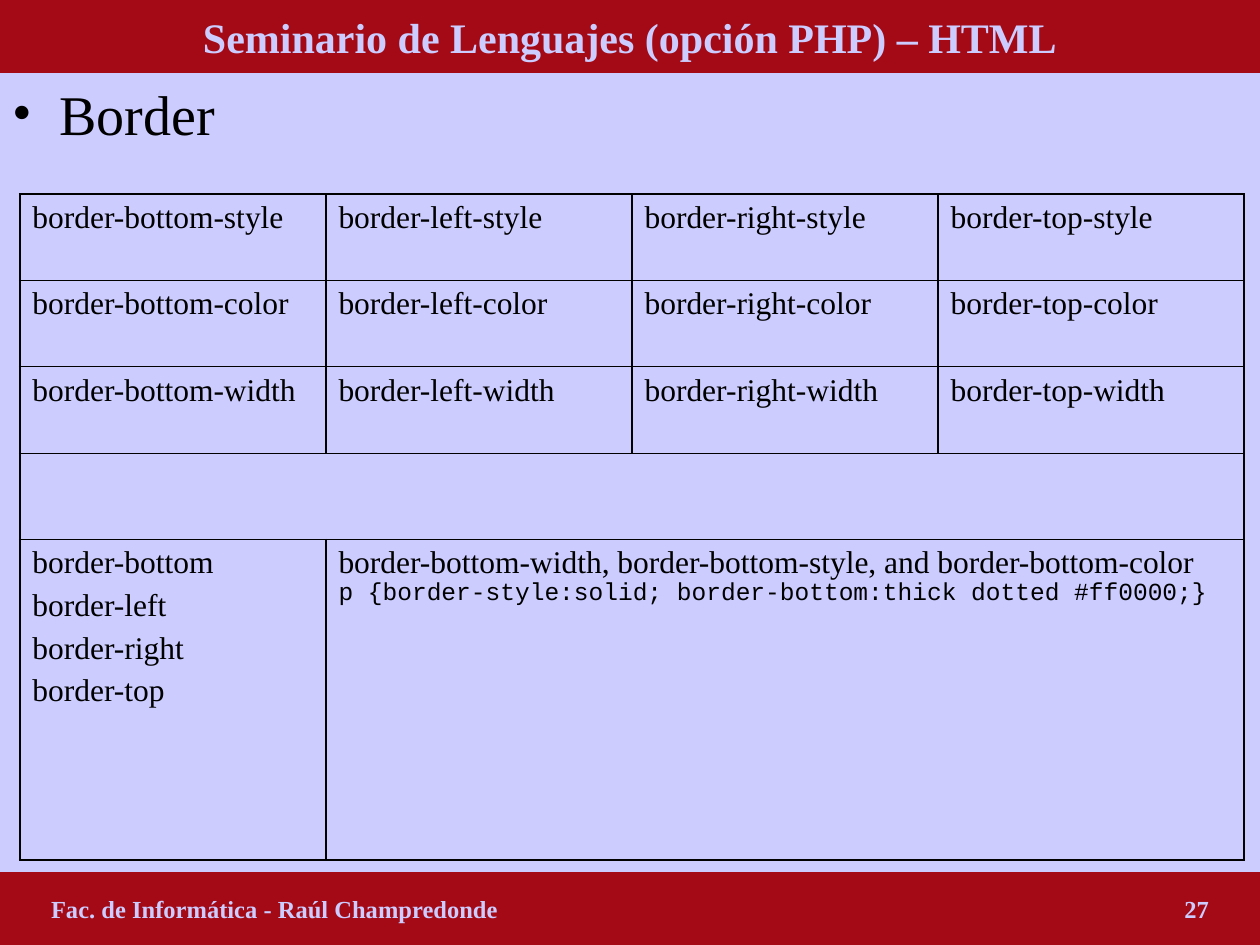
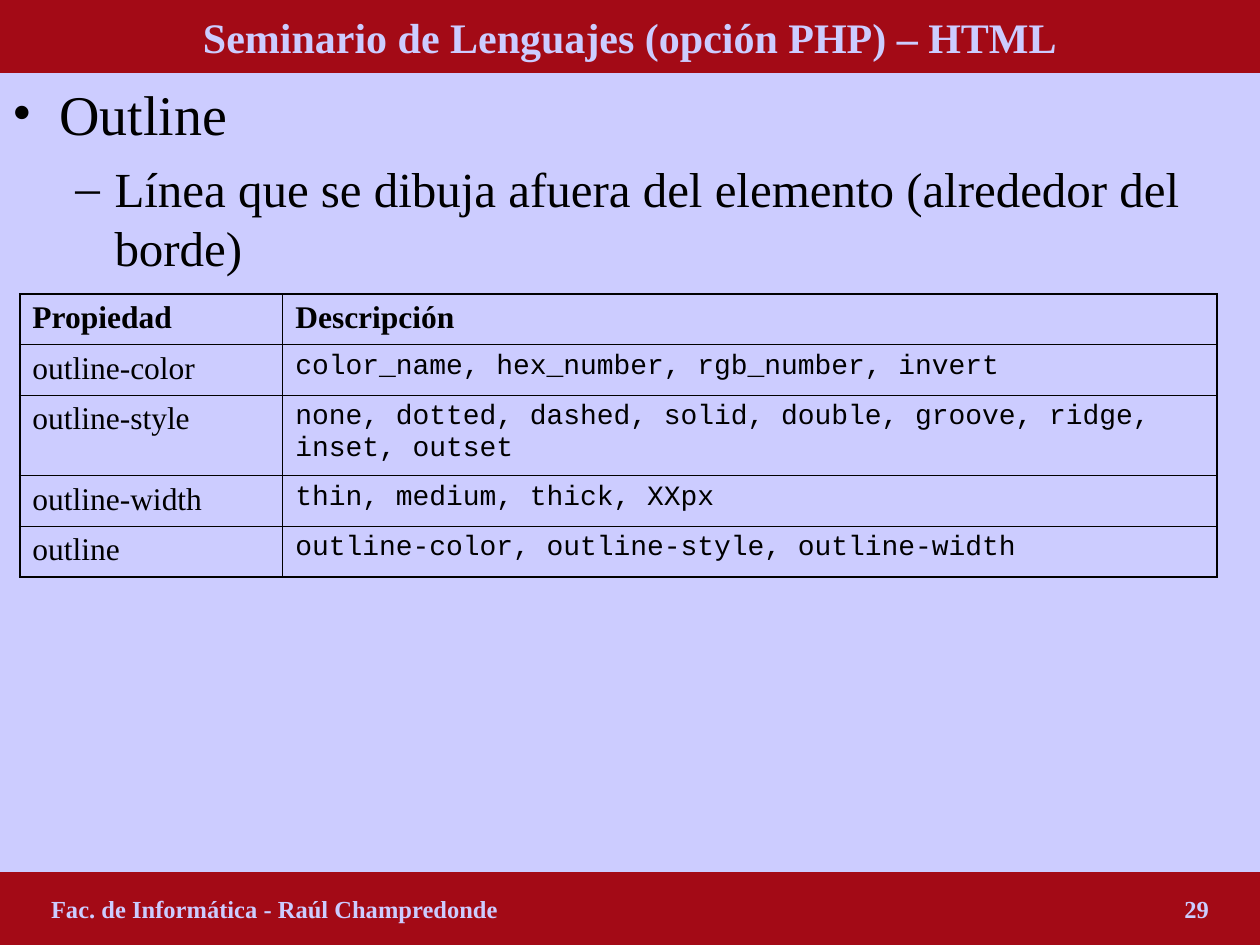
from dataclasses import dataclass
from lxml import etree
from pptx import Presentation
from pptx.dml.color import RGBColor
from pptx.enum import shapes, text
from pptx.oxml.ns import qn
from pptx.util import Cm, Pt


@dataclass(frozen=True)
class Theme:
    """Colours, fonts and sizes that every slide shares."""
    ground: str = "CCCCFF"
    band: str = "A30A16"
    ink: str = "000000"
    serif: str = "Times New Roman"
    mono: str = "Courier New"
    thick: float = 1.08
    thin: float = 0.45

    def font(self, role):
        size, name, bold, colour = {
            "title": (24, self.serif, True, self.ground),
            "footer": (14, self.serif, True, self.ground),
            "topic": (32, self.serif, False, self.ink),
            "detail": (28, self.serif, False, self.ink),
            "heading": (18, self.serif, True, self.ink),
            "property": (18, self.serif, False, self.ink),
            "values": (16, self.mono, False, self.ink),
            "example": (14, self.mono, False, self.ink),
        }[role]
        return {"size": Pt(size), "name": name, "bold": bold}, colour


THEME = Theme()
WIDTH, HEIGHT, BAND_HEIGHT = 25.4, 19.05, 1.47
TITLE = "Seminario de Lenguajes (opción PHP) – HTML"
AUTHOR = "Fac. de Informática - Raúl Champredonde"

# Bullet levels: character, left margin, hanging indent, space before
BULLETS = {"topic": ("•", 0.95, 0.95, 8), "detail": ("–", 2.06, 0.79, 7)}


def set_attributes(target, **values):
    for name, value in values.items():
        setattr(target, name, value)


def place(shape, box):
    left, top, width, height = map(Cm, box)
    set_attributes(shape, left=left, top=top, width=width, height=height)


def add_run(paragraph, words, role):
    run = paragraph.add_run()
    run.text = words
    values, colour = THEME.font(role)
    set_attributes(run.font, **values)
    run.font.color.rgb = RGBColor.from_string(colour)


def next_paragraph(frame, index, space_before):
    """Return the paragraph at index; only later ones have space before."""
    paragraph = frame.add_paragraph() if index else frame.paragraphs[0]
    paragraph.space_before = Pt(space_before if index else 0)
    return paragraph


# Bands
def format_band(shape, box):
    place(shape, box)
    shape.fill.solid()
    shape.fill.fore_color.rgb = RGBColor.from_string(THEME.band)
    shape.line.fill.background()
    set_attributes(shape.text_frame, word_wrap=True,
                   auto_size=text.MSO_AUTO_SIZE.NONE,
                   vertical_anchor=text.MSO_ANCHOR.MIDDLE)
    return shape.text_frame


def fill_title(slide, box):
    paragraph = format_band(slide.shapes.title, box).paragraphs[0]
    paragraph.alignment = text.PP_ALIGN.CENTER
    add_run(paragraph, TITLE, "title")


def add_footer(slide, box, number):
    shape = slide.shapes.add_shape(shapes.MSO_SHAPE.RECTANGLE, *map(Cm, box))
    shape.shadow.inherit = False
    frame = format_band(shape, box)
    margin = 1.03
    frame.margin_left = Cm(margin)
    paragraph = frame.paragraphs[0]
    paragraph.alignment = text.PP_ALIGN.LEFT
    # The page number ends at a right tab, as far in as the author's name
    tabs = etree.SubElement(paragraph._p.get_or_add_pPr(), qn("a:tabLst"))
    etree.SubElement(tabs, qn("a:tab"), algn="r",
                     pos=str(Cm(box[2] - 2 * margin)))
    add_run(paragraph, f"{AUTHOR}\t{number}", "footer")


# Bulleted text
def add_bullets(slide, box, items):
    frame = slide.shapes.add_textbox(*map(Cm, box)).text_frame
    frame.word_wrap = True
    for index, (role, words) in enumerate(items):
        character, margin, hanging, space = BULLETS[role]
        paragraph = next_paragraph(frame, index, space)
        properties = paragraph._p.get_or_add_pPr()
        properties.set("marL", str(Cm(margin)))
        properties.set("indent", str(-Cm(hanging)))
        colour = etree.SubElement(properties, qn("a:buClr"))
        etree.SubElement(colour, qn("a:srgbClr"), val=THEME.ink)
        etree.SubElement(properties, qn("a:buFont"), typeface=THEME.serif)
        etree.SubElement(properties, qn("a:buChar"), char=character)
        add_run(paragraph, words, role)


# Tables
def set_borders(cell, widths):
    """Draw the left, right, top and bottom borders, in that order."""
    properties = cell._tc.get_or_add_tcPr()
    for side, width in zip("LRTB", widths):
        line = etree.SubElement(properties, qn(f"a:ln{side}"), w=str(Pt(width)))
        fill = etree.SubElement(line, qn("a:solidFill"))
        etree.SubElement(fill, qn("a:srgbClr"), val=THEME.ink)


def fill_cell(cell, paragraphs):
    """Each paragraph is a list of lines, given as (words, role)."""
    for index, lines in enumerate(paragraphs):
        paragraph = next_paragraph(cell.text_frame, index, 4.5)
        for position, (words, role) in enumerate(lines):
            if position:
                paragraph.add_line_break()
            add_run(paragraph, words, role)


def add_grid(slide, origin, columns, heights, rows, column_line):
    """Add a table; a short row's last cell spans the columns left over."""
    table = slide.shapes.add_table(
        len(heights), len(columns), *map(Cm, origin),
        Cm(sum(columns)), Cm(sum(heights))).table
    set_attributes(table, first_row=False, horz_banding=False)
    for column, width in zip(table.columns, columns):
        column.width = Cm(width)
    for row, height in zip(table.rows, heights):
        row.height = Cm(height)
    last_row, last_column = len(heights) - 1, len(columns) - 1
    for r, row in enumerate(rows):
        for c, paragraphs in enumerate(row):
            cell, end = table.cell(r, c), c
            if c == len(row) - 1 and c < last_column:
                end = last_column
                cell.merge(table.cell(r, end))
            set_borders(cell, (
                column_line if c else THEME.thick,
                column_line if end < last_column else THEME.thick,
                THEME.thin if r else THEME.thick,
                THEME.thin if r < last_row else THEME.thick))
            cell.fill.background()
            fill_cell(cell, paragraphs)


def one_line(words, role="property"):
    return [[(words, role)]]


# Slides
def add_topic_slide(presentation, number, bullets):
    slide = presentation.slides.add_slide(presentation.slide_layouts[5])
    fill_title(slide, (0, 0, WIDTH, BAND_HEIGHT))
    add_bullets(slide, (0, BAND_HEIGHT, WIDTH, HEIGHT - 2 * BAND_HEIGHT), bullets)
    add_footer(slide, (0, HEIGHT - BAND_HEIGHT, WIDTH, BAND_HEIGHT), number)
    return slide


def add_border_slide(presentation):
    slide = add_topic_slide(presentation, 27, [("topic", "Border")])
    sides = ("bottom", "left", "right", "top")
    rows = [[one_line(f"border-{side}-{aspect}") for side in sides]
            for aspect in ("style", "color", "width")]
    rows.append([[]])
    rows.append([
        [[(f"border-{side}", "property")] for side in sides],
        [[("border-bottom-width, border-bottom-style, and border-bottom-color",
           "property"),
          ("p {border-style:solid; border-bottom:thick dotted #ff0000;}",
           "example")]]])
    add_grid(slide, (0.4, 3.91), [6.17] * 4, [1.74] * 4 + [6.46], rows, THEME.thick)


def add_outline_slide(presentation):
    slide = add_topic_slide(presentation, 29, [
        ("topic", "Outline"),
        ("detail", "Línea que se dibuja afuera del elemento (alrededor del borde)")])
    properties = {
        "outline-color": "color_name, hex_number, rgb_number, invert",
        "outline-style": "none, dotted, dashed, solid, double, groove, ridge, "
                         "inset, outset",
        "outline-width": "thin, medium, thick, XXpx",
        "outline": "outline-color, outline-style, outline-width",
    }
    rows = [[one_line(words, "heading") for words in ("Propiedad", "Descripción")]]
    rows += [[one_line(name), one_line(values, "values")]
             for name, values in properties.items()]
    add_grid(slide, (0.4, 5.93), [5.3, 18.83], [1.02, 1.02, 1.62, 1.02, 1.02],
             rows, THEME.thin)


def main():
    presentation = Presentation()
    set_attributes(presentation, slide_width=Cm(WIDTH), slide_height=Cm(HEIGHT))
    ground = presentation.slide_master.background.fill
    ground.solid()
    ground.fore_color.rgb = RGBColor.from_string(THEME.ground)
    add_border_slide(presentation)
    add_outline_slide(presentation)
    presentation.save("out.pptx")


if __name__ == "__main__":
    main()
